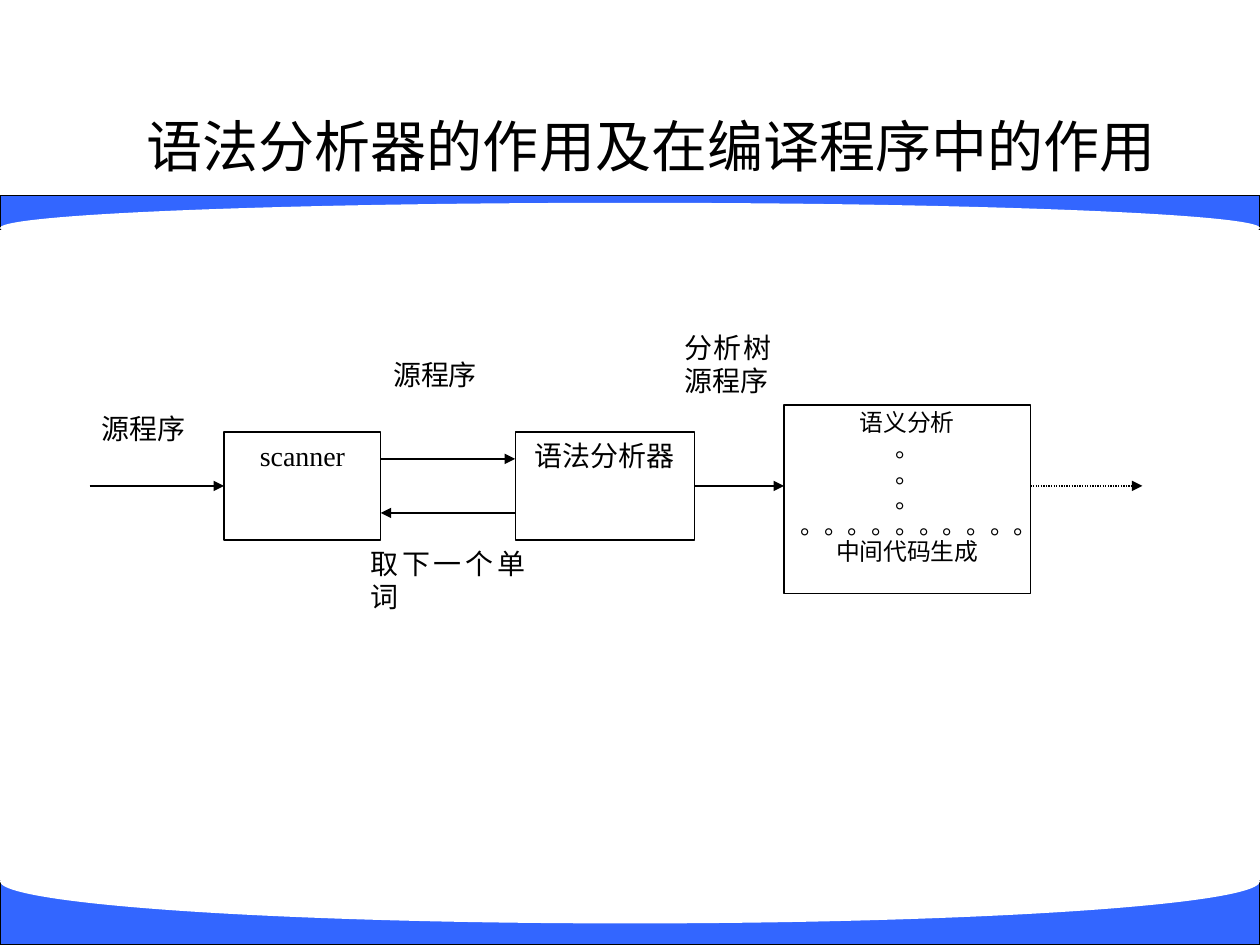
from pptx import Presentation
from pptx.dml.color import RGBColor
from pptx.enum.dml import MSO_LINE
from pptx.enum.shapes import MSO_CONNECTOR, MSO_SHAPE
from pptx.enum.text import MSO_ANCHOR, PP_ALIGN
from pptx.oxml.ns import qn
from pptx.util import Pt
from lxml.etree import SubElement

BLACK = RGBColor(0x00, 0x00, 0x00)
WHITE = RGBColor(0xFF, 0xFF, 0xFF)
BLUE = RGBColor(0x33, 0x66, 0xFF)
LEFT, RIGHT = 1, 3


def add_shape(slide, kind, box, fill, outlined=True):
    """Add a flat preset shape with an optional thin black outline."""
    sp = slide.shapes.add_shape(kind, *map(Pt, box))
    sp.shadow.inherit = False
    sp.fill.solid()
    sp.fill.fore_color.rgb = fill
    if outlined:
        sp.line.color.rgb = BLACK
        sp.line.width = Pt(0.75)
    else:
        sp.line.fill.background()
    return sp


def write(tf, lines, size, align, font="Times New Roman", spacing=None, anchor=MSO_ANCHOR.TOP):
    """Fill a text frame with uniformly formatted paragraphs."""
    tf.word_wrap = True
    tf.vertical_anchor = anchor
    tf.text = "\n".join(lines)
    for p in tf.paragraphs:
        p.alignment = align
        p.line_spacing = spacing
        p.font.size = Pt(size)
        p.font.name = font
        p.font.color.rgb = BLACK


def add_band(slide, box, oval_top, oval_height):
    """Add a blue band curved by a white ellipse, offset from the band's top."""
    left, top, width, _ = box
    add_shape(slide, MSO_SHAPE.RECTANGLE, box, BLUE)
    oval = (left, top + oval_top, width, oval_height)
    add_shape(slide, MSO_SHAPE.OVAL, oval, WHITE, outlined=False)


def add_title(slide, box, text):
    """Place and format the title placeholder."""
    title = slide.shapes.title
    title.left, title.top, title.width, title.height = map(Pt, box)
    write(title.text_frame, [text], 32, PP_ALIGN.CENTER, "Arial", anchor=MSO_ANCHOR.MIDDLE)


def add_arrow(slide, start, end, dash=None):
    """Add a thin black arrow pointing at its end."""
    arrow = slide.shapes.add_connector(MSO_CONNECTOR.STRAIGHT, *map(Pt, start + end))
    arrow.line.color.rgb = BLACK
    arrow.line.width = Pt(0.75)
    if dash:
        arrow.line.dash_style = dash
    SubElement(arrow.line._get_or_add_ln(), qn("a:tailEnd"), type="triangle")
    SubElement(arrow._element.spPr, qn("a:effectLst"))
    return arrow


def add_diagram(slide, box):
    """Draw the compiler pipeline on a grid of 47 columns and 10 rows."""
    left, top, width, height = box
    col, row = width / 47, height / 10

    def at(x, y):
        return left + x * col, top + y * row

    def area(x, y, w, h):
        return at(x, y) + (w * col, h * row)

    def add_stage(cells, lines, size, spacing=None):
        sp = add_shape(slide, MSO_SHAPE.RECTANGLE, area(*cells), WHITE)
        write(sp.text_frame, lines, size, PP_ALIGN.CENTER, spacing=spacing)
        return sp

    scanner = add_stage((6, 4, 7, 4), ["scanner"], 16)
    parser = add_stage((19, 4, 8, 4), ["语法分析器"], 16)
    add_stage((31, 3, 11, 7), ["语义分析", "。" * 13, "中间代码生成"], 13.6, 0.9)

    add_arrow(slide, at(0, 6), at(6, 6)).end_connect(scanner, LEFT)
    add_arrow(slide, at(13, 5), at(19, 5))
    add_arrow(slide, at(19, 7), at(13, 7))
    add_arrow(slide, at(27, 6), at(31, 6)).begin_connect(parser, RIGHT)
    add_arrow(slide, at(42, 6), at(47, 6), MSO_LINE.ROUND_DOT)

    labels = [
        (0, 3, 5, "源程序"),
        (13, 1, 5, "源程序"),
        (12, 8, 8, "取下一个单词"),
        (26, 0, 5, "分析树源程序"),
    ]
    for x, y, w, text in labels:
        label = slide.shapes.add_textbox(*map(Pt, area(x, y, w, 3)))
        write(label.text_frame, [text], 16, PP_ALIGN.JUSTIFY)


def main():
    """Build and save the slide."""
    prs = Presentation()
    prs.slide_width, prs.slide_height = Pt(720), Pt(540)
    slide = prs.slides.add_slide(prs.slide_layouts[5])
    add_band(slide, (0, 111.6, 720, 19.4), 4.3, 28.8)
    add_band(slide, (0, 503.3, 720, 36.7), -23.8, 48.2)
    add_title(slide, (51.2, 43.2, 642.2, 80), "语法分析器的作用及在编译程序中的作用")
    add_diagram(slide, (51.2, 185.1, 601.6, 154.3))
    prs.save("out.pptx")


if __name__ == "__main__":
    main()
